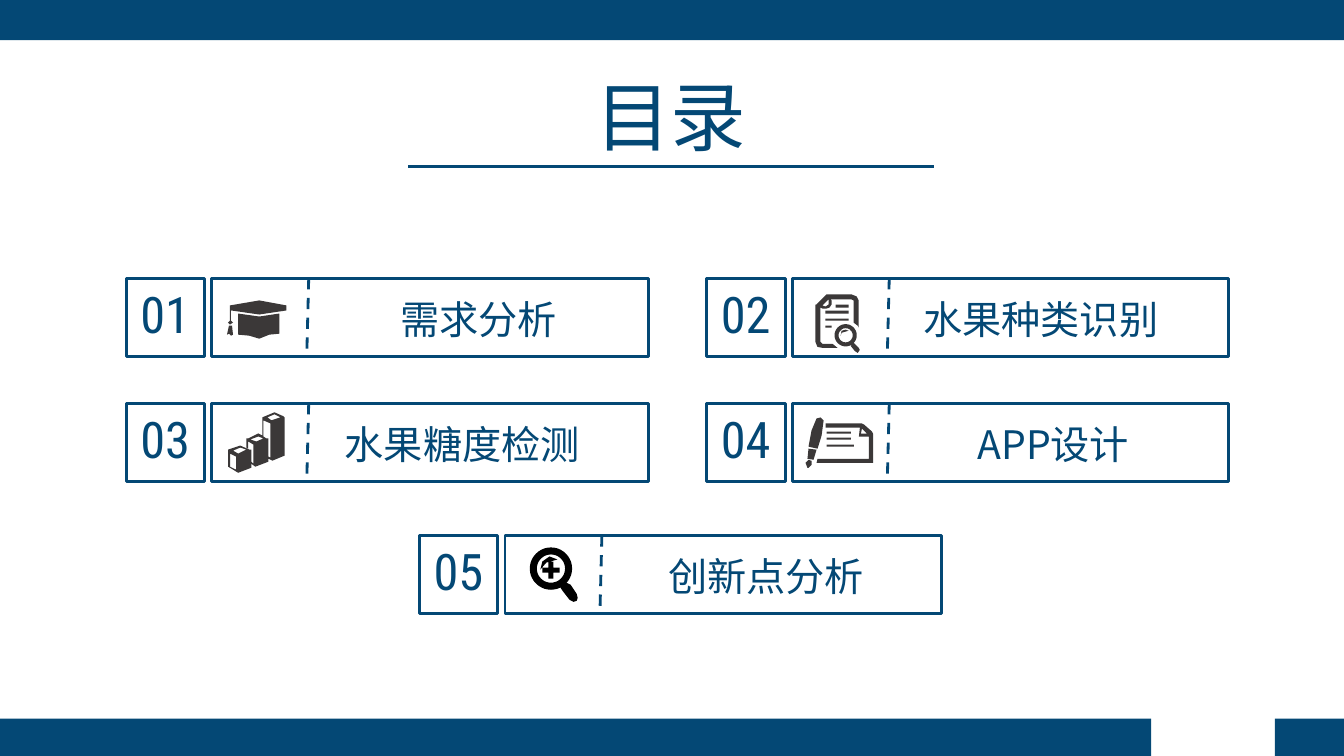
import math

import lxml.etree
import pptx
import pptx.dml.color
import pptx.enum.dml
import pptx.enum.shapes
import pptx.enum.text
import pptx.oxml.ns
import pptx.util

Cm = pptx.util.Cm
Pt = pptx.util.Pt


class Theme:
    navy = pptx.dml.color.RGBColor.from_string("044875")
    charcoal = pptx.dml.color.RGBColor.from_string("3B3838")
    black = pptx.dml.color.RGBColor.from_string("000000")
    chinese_font = "Noto Sans CJK SC"
    number_font = "Roboto Condensed"
    title_size = Pt(54)
    number_size = Pt(36)
    label_size = Pt(28)
    line_width = Pt(2)


def box(left, top, right, bottom):
    return [(left, top), (right, top), (right, bottom), (left, bottom)]


def circle(x, y, radius, steps=40):
    angles = [2 * math.pi * step / steps for step in range(steps)]
    return [(x + radius * math.cos(a), y + radius * math.sin(a)) for a in angles]


# Icon outlines, in hundredths of an inch from the icon's corner
CAP = [
    [(11, 34), (22, 35), (32, 38), (42, 34), (52, 33), (52, 13), (32, 16), (11, 13)],
    [(59, 5), (59, 10), (32, 14), (4, 10), (4, 20), (6, 22), (3, 24), (1, 22),
     (3, 20), (3, 5), (32, 0)],
    [(5, 25), (2, 25), (0, 34), (2, 33), (4, 35), (6, 34)],
]
DOCUMENT = [
    [(13, 0), (36, 0), (41, 2), (43, 6), (43, 33), (42, 31), (38, 28), (38, 6),
     (36, 5), (15, 5), (16, 6), (16, 10), (14, 13), (11, 14), (7, 14), (5, 13),
     (5, 47), (7, 49), (17, 49), (22, 53), (7, 53), (2, 52), (0, 47), (0, 10),
     (1, 10), (11, 0)],
    box(10, 31, 16, 33), box(10, 24, 33, 26), box(10, 16, 33, 19), box(20, 10, 33, 13),
    [(25, 41), (26, 38), (33, 36), (30, 35), (26, 36)],
    circle(30, 40.5, 11), circle(30, 40.5, 7),
    [(35, 51), (39, 56), (42, 58), (44, 55), (43, 53), (39, 49), (38, 48)],
    [(13, 5), (7, 11), (10, 12), (13, 10)],
]
BARS = [
    [(39, 5), (43, 8), (52, 5), (46, 2)],
    [(8, 44), (2, 41), (2, 54), (8, 57)],
    [(22, 27), (28, 29), (35, 26), (30, 24)],
    [(18, 26), (20, 26), (30, 21), (34, 23), (34, 5), (46, 0), (55, 4), (56, 5),
     (56, 43), (44, 48), (40, 46), (40, 49), (27, 54), (23, 51), (23, 55), (10, 60),
     (0, 54), (0, 37), (12, 33), (21, 37), (23, 37), (23, 49), (25, 51), (25, 32),
     (20, 29), (20, 36), (18, 35)],
    [(35, 24), (38, 26), (40, 26), (40, 44), (42, 45), (42, 11), (35, 8)],
    [(5, 38), (10, 41), (18, 37), (12, 35)],
]
PEN = [
    [(11, 1), (15, 0), (18, 3), (16, 18), (12, 31), (3, 29), (6, 13)],
    [(12, 41), (11, 45), (67, 45), (67, 16), (66, 14), (58, 7), (56, 6), (20, 6),
     (20, 10), (54, 10), (53, 19), (63, 19), (63, 41)],
    [(61, 16), (55, 16), (56, 11)],
    box(21, 27, 48, 29), box(21, 20, 45, 22), box(21, 14, 45, 16),
    [(3, 42), (6, 43), (6, 47), (3, 50), (2, 50), (0, 45)],
    [(3, 31), (2, 41), (8, 42), (11, 32)],
]
MAGNIFIER = [
    circle(21.5, 22, 21), circle(21.5, 22, 14),
    [(19, 15), (24, 15), (24, 21), (30, 21), (30, 26), (24, 26),
     (24, 32), (19, 32), (19, 26), (13, 26), (13, 21), (19, 21)],
    [(11, 23), (17, 16), (28, 13), (20, 10), (13, 15)],
    [(37, 36), (41, 38), (47, 47), (48, 51), (47, 54), (44, 55), (40, 53),
     (33, 44), (31, 41), (35, 38.5)],
]

# Content: label, (column, row), label offset and width, icon, icon offset, icon colour
TITLE = "目录"
ENTRIES = [
    ("需求分析", (0, 0), (4.93, 7.9), CAP, (2.54, 0.56), Theme.charcoal),
    ("水果种类识别", (1, 0), (4.47, 7.9), DOCUMENT, (2.74, 0.41), Theme.charcoal),
    ("水果糖度检测", (0, 1), (4.52, 7.9), BARS, (2.57, 0.23), Theme.charcoal),
    ("APP设计", (1, 1), (4.52, 8.43), PEN, (2.49, 0.36), Theme.charcoal),
    ("创新点分析", (0.505, 2), (4.52, 8.43), MAGNIFIER, (2.77, 0.28), Theme.black),
]
BANDS = [(0, -0.03, 33.87, 1.04), (32.13, 18.11, 1.74, 0.94), (0, 18.11, 29.01, 0.94)]

GRID_LEFT, COLUMN_PITCH = 3.18, 14.63
ROW_TOPS = (7.01, 10.16, 13.49)
BOX_SIZE, CARD_OFFSET, CARD_WIDTH = 1.98, 2.16, 11


def add_rectangle(shapes, left, top, width, height, filled=False):
    shape = shapes.add_shape(pptx.enum.shapes.MSO_SHAPE.RECTANGLE,
                             Cm(left), Cm(top), Cm(width), Cm(height))
    shape.shadow.inherit = False
    if filled:
        shape.fill.solid()
        shape.fill.fore_color.rgb = Theme.navy
        shape.line.fill.background()
    else:
        shape.fill.background()
        shape.line.color.rgb = Theme.navy
        shape.line.width = Theme.line_width


def add_text(shapes, text, left, top, width, height, font_name, size):
    frame = shapes.add_textbox(Cm(left), Cm(top), Cm(width), Cm(height)).text_frame
    frame.word_wrap = True
    frame.auto_size = pptx.enum.text.MSO_AUTO_SIZE.SHAPE_TO_FIT_TEXT
    frame.text = text
    paragraph = frame.paragraphs[0]
    paragraph.alignment = pptx.enum.text.PP_ALIGN.CENTER
    font = paragraph.runs[0].font
    font.name, font.size, font.color.rgb = font_name, size, Theme.navy
    properties = paragraph.runs[0]._r.get_or_add_rPr()
    east_asian = lxml.etree.SubElement(properties, pptx.oxml.ns.qn("a:ea"))
    east_asian.set("typeface", font_name)


def add_line(shapes, start, end, dashed=False):
    line = shapes.add_connector(pptx.enum.shapes.MSO_CONNECTOR.STRAIGHT,
                                *(Cm(value) for value in start + end))
    line.line.color.rgb = Theme.navy
    line.line.width = Theme.line_width
    if dashed:
        line.line.dash_style = pptx.enum.dml.MSO_LINE.DASH
    lxml.etree.SubElement(line._element.spPr, pptx.oxml.ns.qn("a:effectLst"))


def add_icon(shapes, outlines, left, top, color):
    # Ten drawing units per hundredth of an inch keep the circles smooth
    scaled = [[(round(x * 10), round(y * 10)) for x, y in outline] for outline in outlines]
    builder = shapes.build_freeform(*scaled[0][0], scale=Cm(2.54) / 1000)
    for index, outline in enumerate(scaled):
        if index:
            builder.move_to(*outline[0])
        builder.add_line_segments(outline[1:], close=True)
    icon = builder.convert_to_shape(Cm(left), Cm(top))
    icon.shadow.inherit = False
    icon.fill.solid()
    icon.fill.fore_color.rgb = color
    icon.line.fill.background()


def add_entry(slide, number, entry):
    label, (column, row), (label_offset, label_width), outlines, (dx, dy), color = entry
    left, top = GRID_LEFT + column * COLUMN_PITCH, ROW_TOPS[row]
    shapes = slide.shapes.add_group_shape().shapes
    add_text(shapes, label, left + label_offset, top + 0.3, label_width, 1.45,
             Theme.chinese_font, Theme.label_size)
    add_rectangle(shapes, left + CARD_OFFSET, top, CARD_WIDTH, BOX_SIZE)
    add_line(shapes, (left + 4.6, top), (left + 4.55, top + BOX_SIZE), dashed=True)
    add_rectangle(shapes, left, top, BOX_SIZE, BOX_SIZE)
    add_text(shapes, f"{number:02}", left - 0.3, top, 2.57, 1.8,
             Theme.number_font, Theme.number_size)
    add_icon(shapes, outlines, left + dx, top + dy, color)


def main():
    presentation = pptx.Presentation()
    presentation.slide_width, presentation.slide_height = Cm(33.87), Cm(19.05)
    slide = presentation.slides.add_slide(presentation.slide_layouts[6])

    # Bands at the slide's edges
    for band in BANDS:
        add_rectangle(slide.shapes, *band, filled=True)

    # Title and its rule
    add_text(slide.shapes, TITLE, 7.62, 1.63, 18.57, 2.57,
             Theme.chinese_font, Theme.title_size)
    add_line(slide.shapes, (10.29, 4.19), (23.55, 4.19))

    # Contents entries
    for number, entry in enumerate(ENTRIES, start=1):
        add_entry(slide, number, entry)

    presentation.save("out.pptx")


if __name__ == "__main__":
    main()
